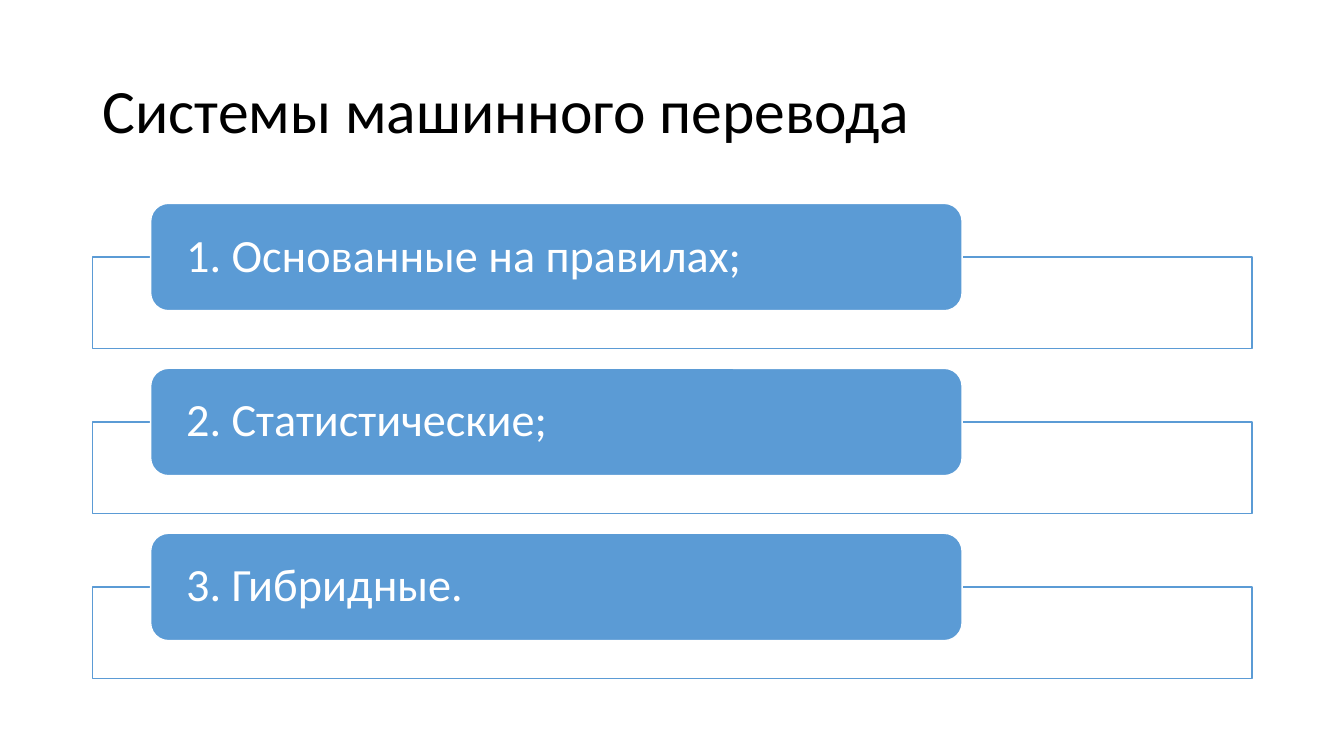
import pptx
import pptx.dml.color
import pptx.enum.shapes
import pptx.enum.text
import pptx.util

SHAPE = pptx.enum.shapes.MSO_SHAPE
BLUE, WHITE, BLACK = "5B9BD5", "FFFFFF", "000000"


def rgb(value):
    return pptx.dml.color.RGBColor.from_string(value)


class Deck:
    """Draws styled elements on one slide, with boxes in percent of its size."""

    font = "Calibri"
    line_width = pptx.util.Pt(1)

    def __init__(self, width, height):
        self.prs = pptx.Presentation()
        self.prs.slide_width = pptx.util.Inches(width)
        self.prs.slide_height = pptx.util.Inches(height)
        self.s = self.prs.slides.add_slide(self.prs.slide_layouts[6])

    def place(self, left, top, width, height):
        w, h = self.prs.slide_width, self.prs.slide_height
        return [int(share * full / 100) for share, full in
                ((left, w), (top, h), (width, w), (height, h))]

    def set_text(self, sp, text, size, color, inset):
        tf = sp.text_frame
        tf.word_wrap = True
        tf.vertical_anchor = pptx.enum.text.MSO_ANCHOR.MIDDLE
        tf.margin_left = tf.margin_right = pptx.util.Inches(inset)
        tf.margin_top = tf.margin_bottom = 0
        p = tf.paragraphs[0]
        p.text = text
        p.alignment = pptx.enum.text.PP_ALIGN.LEFT
        p.line_spacing = 0.9
        p.font.name = self.font
        p.font.size = pptx.util.Pt(size)
        p.font.color.rgb = rgb(color)

    def title(self, box, text):
        sp = self.s.shapes.add_textbox(*self.place(*box))
        self.set_text(sp, text, 44, BLACK, 0.1)

    def shape(self, kind, box, fill, line):
        sp = self.s.shapes.add_shape(kind, *self.place(*box))
        sp.shadow.inherit = False
        sp.fill.solid()
        sp.fill.fore_color.rgb = rgb(fill)
        sp.line.color.rgb = rgb(line)
        sp.line.width = self.line_width
        return sp

    def frame(self, box):
        self.shape(SHAPE.RECTANGLE, box, WHITE, BLUE)

    def label(self, box, text):
        sp = self.shape(SHAPE.ROUNDED_RECTANGLE, box, BLUE, WHITE)
        self.set_text(sp, text, 33, WHITE, 0.3)


def main():
    deck = Deck(13.33, 7.5)
    left, width = 6.9, 86.25
    deck.title((left, 5.33, width, 19.33), "Системы машинного перевода")

    systems = ["1. Основанные на правилах;", "2. Статистические;", "3. Гибридные."]
    first_top, pitch = 26.9, 21.82
    label_height = 14.2
    for i, system in enumerate(systems):
        top = first_top + i * pitch
        deck.frame((left, top + label_height / 2, width, 12.13))
        deck.label((left + width / 20, top, width * 0.7, label_height), system)

    deck.prs.save("out.pptx")


if __name__ == "__main__":
    main()
